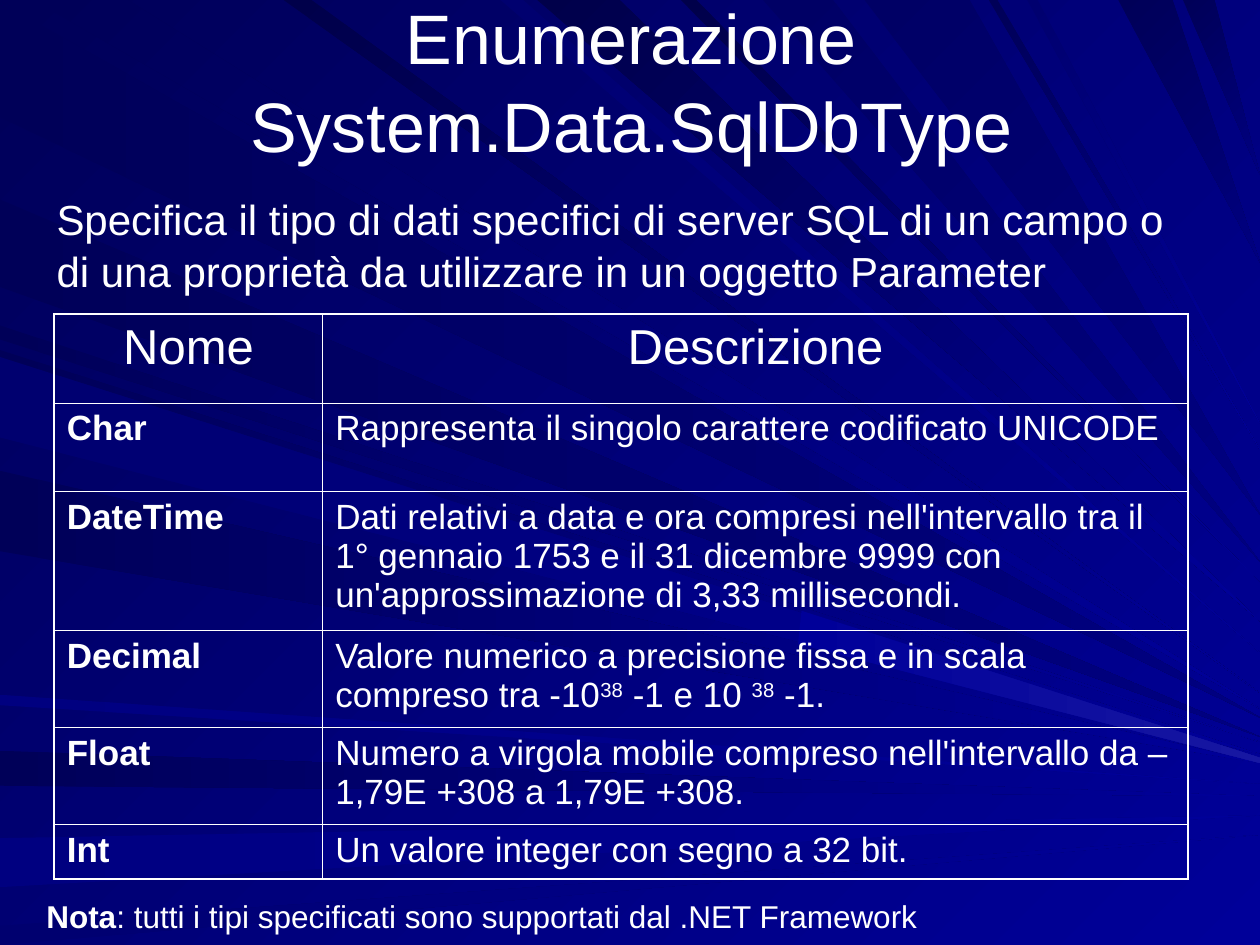
from lxml import etree
from pptx import Presentation
from pptx.dml.color import RGBColor
from pptx.enum.text import MSO_ANCHOR, PP_ALIGN
from pptx.oxml.ns import qn
from pptx.util import Pt

CENTER, LEFT = PP_ALIGN.CENTER, PP_ALIGN.LEFT
MIDDLE, TOP = MSO_ANCHOR.MIDDLE, MSO_ANCHOR.TOP
FONT = "Arial"
WHITE = RGBColor.from_string("FFFFFF")
INK = RGBColor.from_string("00004A")
NIGHT = RGBColor.from_string("000058")
DUSK = RGBColor.from_string("000065")
INDIGO = RGBColor.from_string("00006F")
DEEP = RGBColor.from_string("000080")
ROYAL = RGBColor.from_string("000099")
GLOW = RGBColor.from_string("1717A2")
PAGE_WIDTH, PAGE_HEIGHT = 720, 540
THIN, THICK = 0.45, 1.08
LINE_SPACING = 1.04

FROM_LEFT, FROM_TOP = "left", "top"
RAYS = [
    (FROM_LEFT, 1, 67, 410, NIGHT, DEEP),
    (FROM_TOP, 19, 73, 405, NIGHT, ROYAL),
    (FROM_LEFT, 429, 449, 455, NIGHT, ROYAL),
    (FROM_LEFT, 479, 507, 466, DEEP, ROYAL),
    (FROM_LEFT, 529, 540, 477, INDIGO, ROYAL),
    (FROM_LEFT, 186, 194, 424, NIGHT, ROYAL),
    (FROM_LEFT, 114, 164, 421, NIGHT, DEEP),
    (FROM_TOP, 286, 299, 373, INDIGO, ROYAL),
    (FROM_TOP, 307, 354, 355, INK, ROYAL),
    (FROM_TOP, 389, 398, 333, INK, ROYAL),
    (FROM_TOP, 436, 476, 321, DUSK, DEEP),
    (FROM_TOP, 639, 670, 150, NIGHT, DEEP),
    (FROM_TOP, 676, 694, 100, NIGHT, DEEP),
    (FROM_LEFT, 200, 246, 431, NIGHT, ROYAL),
    (FROM_LEFT, 269, 315, 436, NIGHT, ROYAL),
    (FROM_LEFT, 397, 403, 448, DEEP, ROYAL),
    (FROM_TOP, 162, 178, 396, INK, ROYAL),
    (FROM_TOP, 494, 554, 294, DUSK, DEEP),
    (FROM_TOP, 565, 570, 257, NIGHT, ROYAL),
    (FROM_TOP, 587, 593, 242, INDIGO, ROYAL),
    (FROM_LEFT, 204, 250, 434, INDIGO, ROYAL),
]
GLOW_RAY = [(458, 349), (456, 368), (720, 436), (720, 433)]

COLUMN_WIDTHS = [153.4, 494.6]
ROW_HEIGHTS = [50.8, 50.8, 79.4, 55.2, 55.2, 31.2]
HEADINGS = ["Nome", "Descrizione"]
TYPES = [
    ("Char", ["Rappresenta il singolo carattere codificato UNICODE"]),
    ("DateTime", ["Dati relativi a data e ora compresi nell'intervallo tra il 1° gennaio 1753 "
                  "e il 31 dicembre 9999 con un'approssimazione di 3,33 millisecondi."]),
    ("Decimal", ["Valore numerico a precisione fissa e in scala compreso tra -10", "38",
                 " -1 e 10 ", "38", " -1."]),
    ("Float", ["Numero a virgola mobile compreso nell'intervallo da –1,79E +308 a 1,79E +308."]),
    ("Int", ["Un valore integer con segno a 32 bit."]),
]


def paint_gradient(fill, start, end, angle):
    """Fill with a two-stop gradient, the angle running clockwise."""
    fill.gradient()
    fill.gradient_angle = -angle % 360
    for stop, color in zip(fill.gradient_stops, (start, end)):
        stop.color.rgb = color


def add_polygon(page, points, start, end, angle):
    """Draw a closed outline with a gradient and no line."""
    corners = [(Pt(x), Pt(y)) for x, y in points]
    builder = page.shapes.build_freeform(*corners[0])
    builder.add_line_segments(corners[1:], close=True)
    polygon = builder.convert_to_shape()
    polygon.shadow.inherit = False
    polygon.line.fill.background()
    paint_gradient(polygon.fill, start, end, angle)


def add_ray(page, side, near, far, tip, start, end):
    """Draw a wedge from the left or top edge to a tip on the right edge."""
    base = [(0, near), (0, far)] if side == FROM_LEFT else [(near, 0), (far, 0)]
    angle = 0 if side == FROM_LEFT else 45
    add_polygon(page, base + [(PAGE_WIDTH, tip)], start, end, angle)


def add_span(para, text, size, bold=False, raised=False):
    """Append one run of white text."""
    span = para.add_run()
    span.text = text
    span.font.name = FONT
    span.font.size = Pt(size)
    span.font.bold = bold
    span.font.color.rgb = WHITE
    if raised:
        span.font._element.set("baseline", "30000")


def add_text(page, left, top, width, height, anchor=TOP, align=LEFT):
    """Add a wrapping text box and return its first paragraph."""
    box = page.shapes.add_textbox(Pt(left), Pt(top), Pt(width), Pt(height))
    box.text_frame.word_wrap = True
    box.text_frame.vertical_anchor = anchor
    para = box.text_frame.paragraphs[0]
    para.alignment = align
    para.line_spacing = LINE_SPACING
    return para


def set_borders(cell, widths):
    """Draw the left, right, top and bottom borders of a cell."""
    properties = cell._tc.get_or_add_tcPr()
    for index, (side, width) in enumerate(zip("LRTB", widths)):
        line = etree.Element(qn(f"a:ln{side}"), w=str(int(Pt(width))))
        fill = etree.SubElement(line, qn("a:solidFill"))
        etree.SubElement(fill, qn("a:srgbClr"), val=str(WHITE))
        properties.insert(index, line)


def add_type_table(page):
    """Add the table of data types with a thicker outer frame."""
    last_row, last_column = len(ROW_HEIGHTS) - 1, len(COLUMN_WIDTHS) - 1
    frame = page.shapes.add_table(len(ROW_HEIGHTS), len(COLUMN_WIDTHS), Pt(31), Pt(179.4),
                                  Pt(sum(COLUMN_WIDTHS)), Pt(sum(ROW_HEIGHTS)))
    table = frame.table
    table.first_row = table.horz_banding = False
    for column, width in zip(table.columns, COLUMN_WIDTHS):
        column.width = Pt(width)
    for row, height in zip(table.rows, ROW_HEIGHTS):
        row.height = Pt(height)
    for y in range(last_row + 1):
        for x in range(last_column + 1):
            cell = table.cell(y, x)
            cell.fill.background()
            outer = (x == 0, x == last_column, y == 0, y == last_row)
            set_borders(cell, [THICK if edge else THIN for edge in outer])
    for x, heading in enumerate(HEADINGS):
        para = table.cell(0, x).text_frame.paragraphs[0]
        para.alignment = CENTER
        add_span(para, heading, 28)
    for y, (name, parts) in enumerate(TYPES, start=1):
        add_span(table.cell(y, 0).text_frame.paragraphs[0], name, 20, bold=True)
        para = table.cell(y, 1).text_frame.paragraphs[0]
        for index, part in enumerate(parts):
            add_span(para, part, 20, raised=index % 2 == 1)


def main():
    """Build the slide and save it."""
    deck = Presentation()
    deck.slide_width, deck.slide_height = Pt(PAGE_WIDTH), Pt(PAGE_HEIGHT)
    page = deck.slides.add_slide(deck.slide_layouts[6])
    paint_gradient(page.background.fill, NIGHT, ROYAL, 45)
    for ray in RAYS:
        add_ray(page, *ray)
    add_polygon(page, GLOW_RAY, ROYAL, GLOW, 0)

    title = add_text(page, 36.7, 0, 648, 90, MIDDLE, CENTER)
    add_span(title, "Enumerazione", 40)
    title.add_line_break()
    add_span(title, "System.Data.SqlDbType", 40)

    add_type_table(page)

    intro = add_text(page, 25.2, 105.8, 663, 65)
    add_span(intro, "Specifica il tipo di dati specifici di server SQL di un campo o "
                    "di una proprietà da utilizzare in un oggetto Parameter", 24)

    note = add_text(page, 19.4, 508.3, 533, 29)
    add_span(note, "Nota", 18, bold=True)
    add_span(note, ": tutti i tipi specificati sono supportati dal .NET Framework", 18)
    deck.save("out.pptx")


if __name__ == "__main__":
    main()
